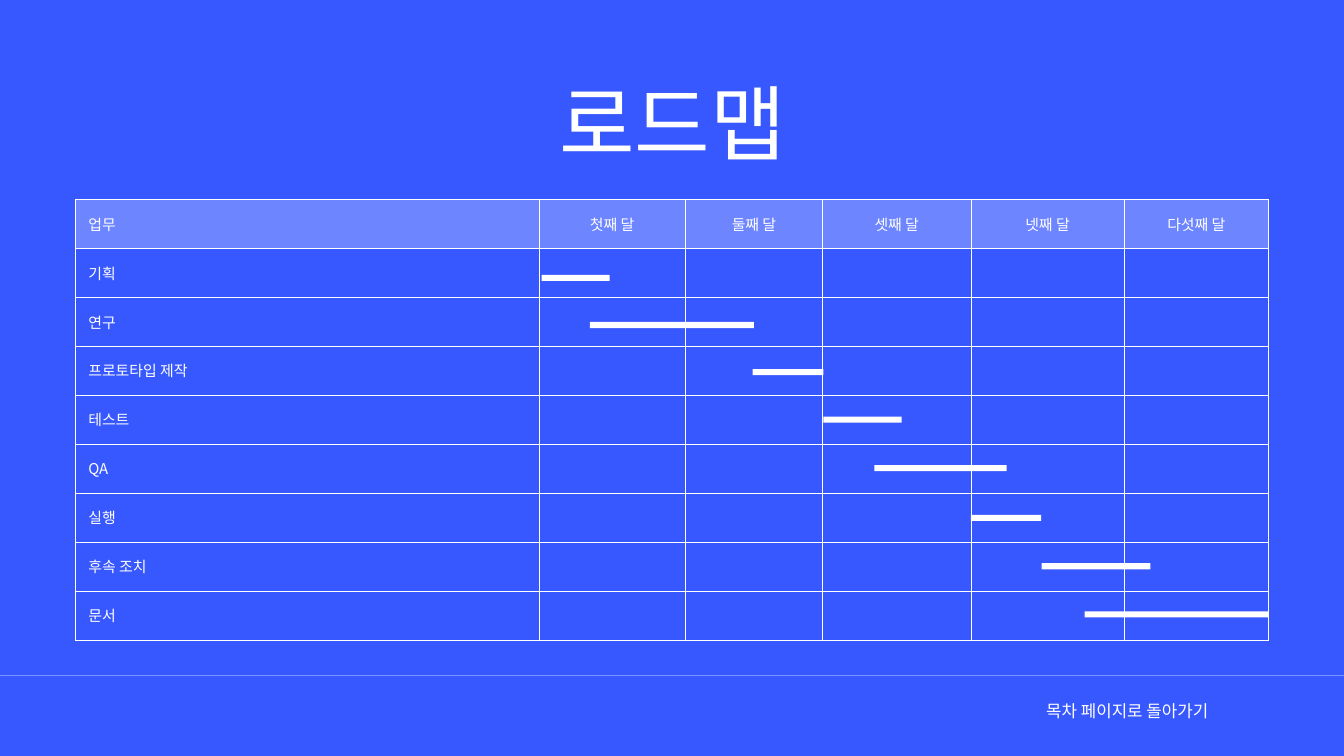
import lxml.etree
import pptx
import pptx.dml.color
import pptx.enum.shapes
import pptx.enum.text
import pptx.oxml.ns
import pptx.util
from pptx.util import Cm

COLORS = {"background": "3858FF", "header": "6D85FF", "white": "FFFFFF"}
LATIN_FONT = "Calibri"
KOREAN_FONT = "Noto Sans CJK KR"
LEFT = pptx.enum.text.PP_ALIGN.LEFT
CENTER = pptx.enum.text.PP_ALIGN.CENTER
RIGHT = pptx.enum.text.PP_ALIGN.RIGHT

MONTHS = ["첫째 달", "둘째 달", "셋째 달", "넷째 달", "다섯째 달"]
# Task, then left, top and width of its bar in centimetres
TASKS = [
    ("기획", 20.47, 10.39, 2.57),
    ("연구", 22.3, 12.17, 6.2),
    ("프로토타입 제작", 28.45, 13.95, 2.67),
    ("테스트", 31.12, 15.75, 2.96),
    ("QA", 33.05, 17.58, 5),
    ("실행", 36.7, 19.46, 2.65),
    ("후속 조치", 39.37, 21.29, 4.11),
    ("문서", 41, 23.11, 6.95),
]
BAR_HEIGHT = 0.23
COLUMN_WIDTHS = [17.53, 5.54, 5.18, 5.61, 5.79, 5.46]
ROW_HEIGHT = 1.85
OUTER_BORDER = 0.69
INNER_BORDER = 0.4


def rgb(name):
    return pptx.dml.color.RGBColor.from_string(COLORS[name])


def set_attributes(target, values):
    for name, value in values.items():
        setattr(target, name, value)


def write_text(text_frame, text, size, line_spacing, alignment, latin=LATIN_FONT):
    paragraph = text_frame.paragraphs[0]
    set_attributes(paragraph, {
        "alignment": alignment,
        "line_spacing": pptx.util.Pt(line_spacing),
    })
    run = paragraph.add_run()
    run.text = text
    set_attributes(run.font, {"name": latin, "size": pptx.util.Pt(size)})
    run.font.color.rgb = rgb("white")
    lxml.etree.SubElement(
        run.font._element, pptx.oxml.ns.qn("a:ea"), typeface=KOREAN_FONT)


def add_text(slide, box, text, size, line_spacing, alignment):
    text_frame = slide.shapes.add_textbox(*map(Cm, box)).text_frame
    set_attributes(text_frame, {
        "word_wrap": True,
        "auto_size": pptx.enum.text.MSO_AUTO_SIZE.SHAPE_TO_FIT_TEXT,
        "margin_left": 0,
        "margin_right": 0,
        "margin_top": 0,
        "margin_bottom": 0,
    })
    write_text(text_frame, text, size, line_spacing, alignment)


def add_footer_line(slide, top):
    line = slide.shapes.add_connector(
        pptx.enum.shapes.MSO_CONNECTOR.STRAIGHT, 0, Cm(top), Cm(50.8), Cm(top))
    line.line.width = pptx.util.Pt(0.75)
    line.line.color.rgb = rgb("white")
    color = line._element.find(".//" + pptx.oxml.ns.qn("a:srgbClr"))
    lxml.etree.SubElement(color, pptx.oxml.ns.qn("a:alpha"), val="34000")
    lxml.etree.SubElement(
        line._element.spPr, pptx.oxml.ns.qn("a:effectLst"))


def set_borders(cell, on_edge):
    """Draw the four borders, heavier where on_edge is true for L, R, T, B."""
    properties = cell._tc.get_or_add_tcPr()
    for side, is_outer in zip("LRTB", on_edge):
        width = pptx.util.Pt(OUTER_BORDER if is_outer else INNER_BORDER)
        border = lxml.etree.SubElement(
            properties, pptx.oxml.ns.qn("a:ln" + side), w=str(width))
        fill = lxml.etree.SubElement(border, pptx.oxml.ns.qn("a:solidFill"))
        lxml.etree.SubElement(
            fill, pptx.oxml.ns.qn("a:srgbClr"), val=COLORS["white"])


def fill_cell(cell, text, alignment):
    margin = Cm(0.5)
    set_attributes(cell, {
        "vertical_anchor": pptx.enum.text.MSO_ANCHOR.MIDDLE,
        "margin_left": margin,
        "margin_right": margin,
        "margin_top": margin,
        "margin_bottom": margin,
    })
    latin = KOREAN_FONT if text.isascii() else LATIN_FONT
    write_text(cell.text_frame, text, 16, 22.4, alignment, latin)


def add_schedule(slide, left, top):
    rows = [["업무"] + MONTHS]
    rows += [[task[0]] + [""] * len(MONTHS) for task in TASKS]
    last_row, last_column = len(rows) - 1, len(COLUMN_WIDTHS) - 1
    table = slide.shapes.add_table(
        len(rows), len(COLUMN_WIDTHS), Cm(left), Cm(top),
        Cm(sum(COLUMN_WIDTHS)), Cm(ROW_HEIGHT * len(rows))).table
    set_attributes(table, {"first_row": False, "horz_banding": False})
    for column, width in zip(table.columns, COLUMN_WIDTHS):
        column.width = Cm(width)
    for row_index, texts in enumerate(rows):
        table.rows[row_index].height = Cm(ROW_HEIGHT)
        for column_index, text in enumerate(texts):
            cell = table.cell(row_index, column_index)
            set_borders(cell, (column_index == 0, column_index == last_column,
                               row_index == 0, row_index == last_row))
            cell.fill.solid()
            cell.fill.fore_color.rgb = rgb(
                "header" if row_index == 0 else "background")
            if text:
                fill_cell(cell, text, CENTER if column_index else LEFT)


def add_bar(slide, left, top, width):
    bar = slide.shapes.add_shape(
        pptx.enum.shapes.MSO_SHAPE.RECTANGLE,
        Cm(left), Cm(top), Cm(width), Cm(BAR_HEIGHT))
    bar.shadow.inherit = False
    bar.fill.solid()
    bar.fill.fore_color.rgb = rgb("white")
    bar.line.fill.background()


def main():
    presentation = pptx.Presentation()
    set_attributes(presentation, {
        "slide_width": Cm(50.8),
        "slide_height": Cm(28.575),
    })
    slide = presentation.slides.add_slide(presentation.slide_layouts[6])
    slide.background.fill.solid()
    slide.background.fill.fore_color.rgb = rgb("background")

    add_footer_line(slide, 25.53)
    add_text(slide, (37.06, 26.34, 8.61, 0.89),
             "목차 페이지로 돌아가기", 18, 25.2, RIGHT)
    add_text(slide, (13.44, 2.41, 23.95, 3.99), "로드맵", 88, 114.4, CENTER)
    add_schedule(slide, 2.84, 7.54)
    for _, left, top, width in TASKS:
        add_bar(slide, left, top, width)

    presentation.save("out.pptx")


if __name__ == "__main__":
    main()
